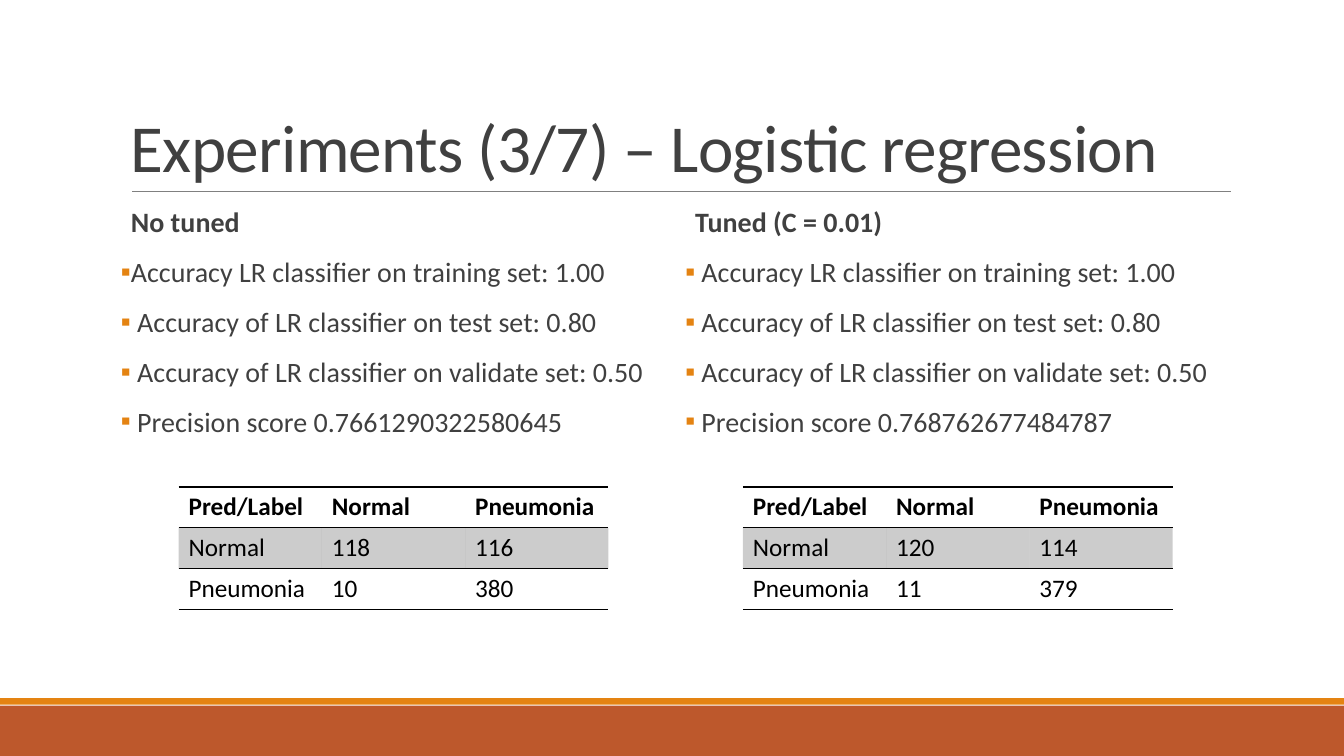
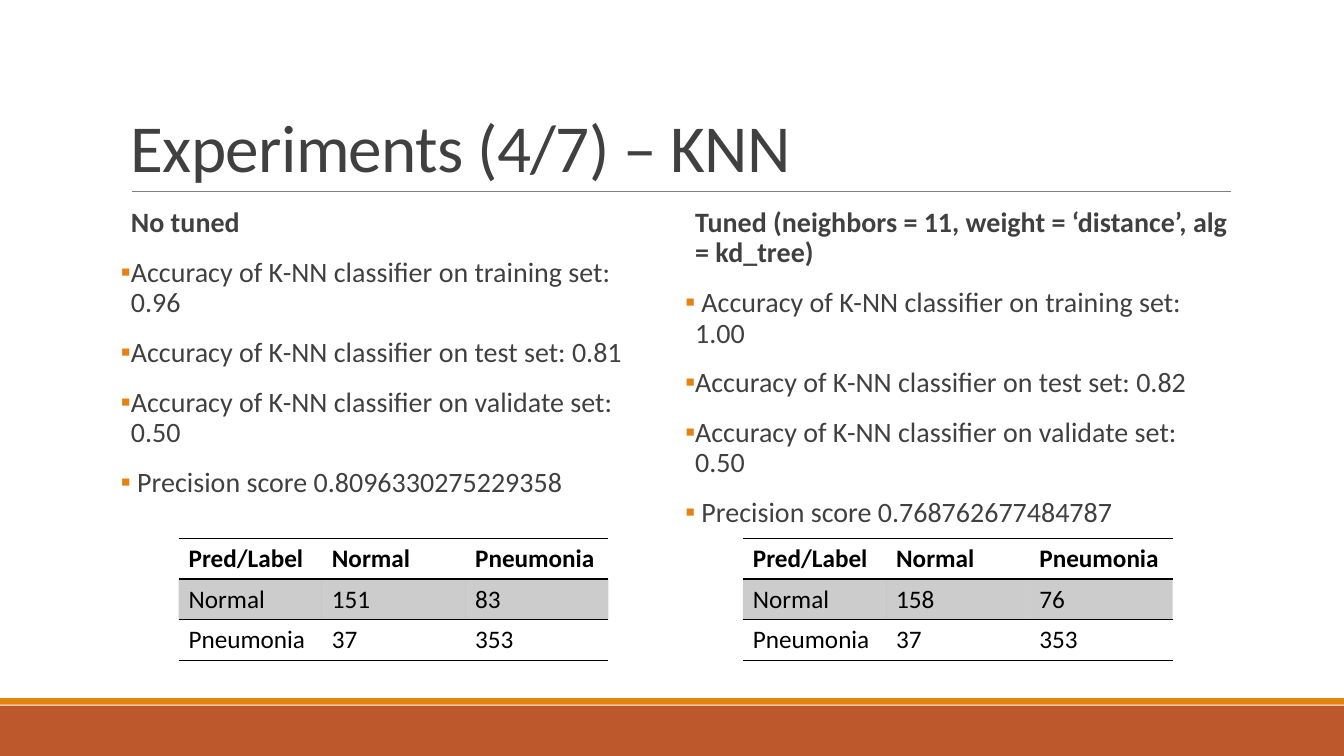
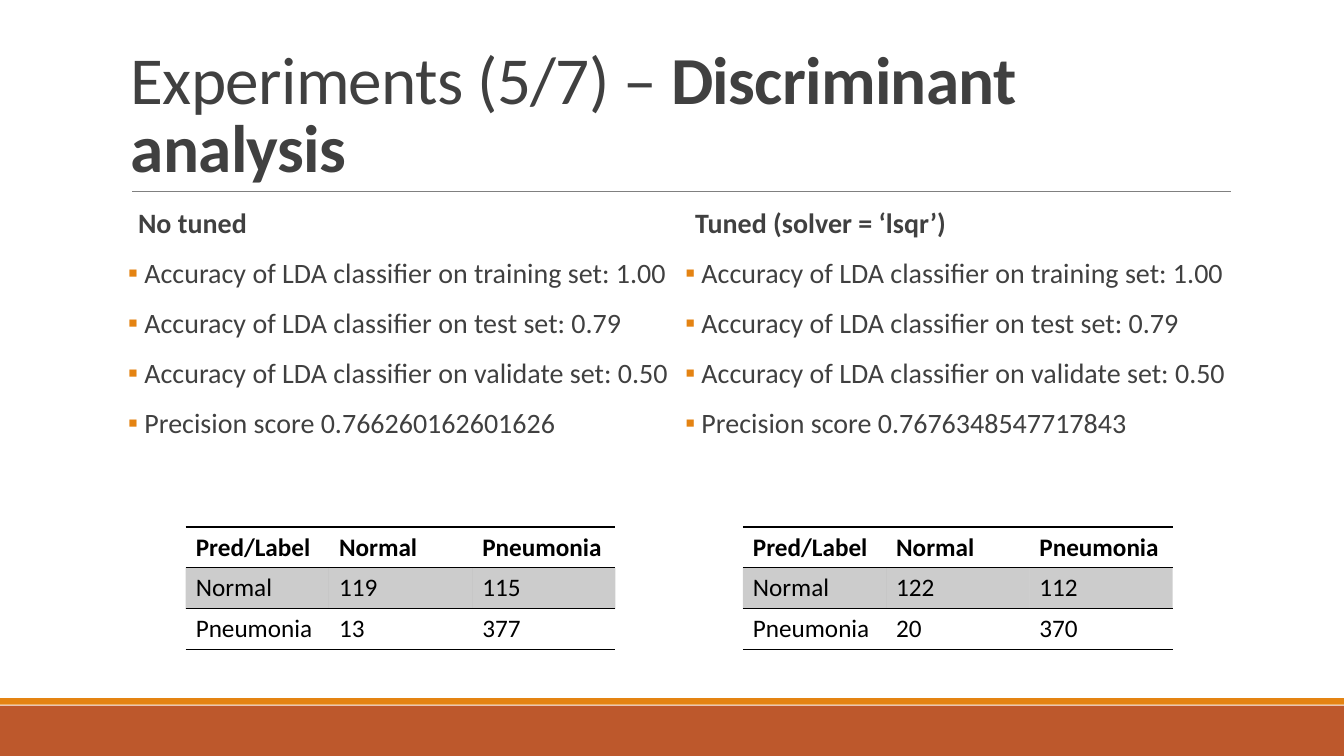
from lxml.etree import SubElement as Sub
from pptx import Presentation as Deck
from pptx.dml.color import RGBColor as RGB
from pptx.enum.shapes import MSO_CONNECTOR as Link, MSO_SHAPE as Form
from pptx.enum.text import MSO_ANCHOR as Anchor
from pptx.oxml.ns import qn
from pptx.util import Cm, Pt

RUST = RGB(0xBD, 0x58, 0x2C)
AMBER = RGB(0xE4, 0x83, 0x12)
GRAY = RGB(0x80, 0x80, 0x80)
DARK = RGB(0x40, 0x40, 0x40)
BLACK = RGB(0, 0, 0)
FONT = "Calibri"
PLAIN = "{2D5ABB26-0587-4C30-8999-92F81FD0307C}"
WIDTH, HEIGHT = 33.87, 19.05
LEFT, RIGHT = 3.05, 17.27
INDENT = 0.25
COL, ROW = 3.61, 1.03


class Page:
    def __init__(self, deck):
        self.slide = deck.slides.add_slide(deck.slide_layouts[6])
        self.shapes = self.slide.shapes
        self.band(17.78, 1.27, RUST)
        self.band(17.59, 0.17, AMBER)
        self.rule()

    def band(self, top, high, color):
        bar = self.shapes.add_shape(Form.RECTANGLE, 0, Cm(top), Cm(WIDTH), Cm(high))
        bar.shadow.inherit = False
        bar.fill.solid()
        bar.fill.fore_color.rgb = color
        bar.line.fill.background()

    def rule(self):
        line = self.shapes.add_connector(
            Link.STRAIGHT, Cm(3.33), Cm(4.83), Cm(31.01), Cm(4.83))
        line.line.color.rgb = GRAY
        line.line.width = Pt(0.5)
        Sub(line._element.spPr, qn("a:effectLst"))

    def run(self, para, text, size, color=DARK, bold=False):
        run = para.add_run()
        run.text = text
        font = run.font
        font.name, font.size, font.bold = FONT, Pt(size), bold
        font.color.rgb = color
        return run

    def box(self, left, top, wide, high):
        frame = self.shapes.add_textbox(Cm(left), Cm(top), Cm(wide), Cm(high)).text_frame
        frame.word_wrap = True
        return frame

    def title(self, plain, bold):
        frame = self.box(LEFT, 0.79, 27.94, 4.04)
        frame.vertical_anchor = Anchor.BOTTOM
        para = frame.paragraphs[0]
        para.line_spacing = 0.85
        for text, heavy in ((plain, False), (bold, True)):
            if text:
                run = self.run(para, text, 48, bold=heavy)
                run.font._element.set("spc", "-50")

    def bullet(self, para):
        props = para._p.get_or_add_pPr()
        props.set("indent", str(-Cm(INDENT)))
        Sub(Sub(props, qn("a:buClr")), qn("a:srgbClr"), val=str(AMBER))
        Sub(props, qn("a:buFont"), typeface=FONT)
        Sub(props, qn("a:buChar"), char="▪")

    def body(self, left, top, head, items):
        frame = self.box(left, top, 13.72, 11.18)
        frame.margin_left = frame.margin_right = 0
        for i, text in enumerate([head, *items]):
            para = frame.add_paragraph() if i else frame.paragraphs[0]
            para.line_spacing = 0.9
            para.space_before, para.space_after = Pt(12), Pt(2)
            para._p.get_or_add_pPr().set("marL", str(Cm(INDENT)))
            if i:
                self.bullet(para)
            self.run(para, text, 20, bold=i == 0)

    def edge(self, cell, side):
        line = cell._tc.get_or_add_tcPr().makeelement(qn("a:" + side), {"w": str(Pt(1))})
        Sub(Sub(line, qn("a:solidFill")), qn("a:srgbClr"), val=str(BLACK))
        cell._tc.tcPr.insert(0, line)

    def shade(self, cell):
        cell.fill.solid()
        cell.fill.fore_color.rgb = BLACK
        color = cell._tc.tcPr.find(".//" + qn("a:srgbClr"))
        Sub(color, qn("a:alpha"), val="20000")

    def table(self, left, top, normal, sick):
        rows = (("Pred/Label", "Normal", "Pneumonia"),
                ("Normal", *normal), ("Pneumonia", *sick))
        grid = self.shapes.add_table(
            3, 3, Cm(left), Cm(top), Cm(3 * COL), Cm(3 * ROW)).table
        grid.first_row = grid.horz_banding = False
        grid._tbl.tblPr.find(qn("a:tableStyleId")).text = PLAIN
        for r, row in enumerate(rows):
            for c, text in enumerate(row):
                cell = grid.cell(r, c)
                para = cell.text_frame.paragraphs[0]
                self.run(para, str(text), 18, BLACK, r == 0)
                if r == 1:
                    self.shade(cell)
                else:
                    cell.fill.background()
                    self.edge(cell, "lnB")
                if r < 2:
                    self.edge(cell, "lnT")

    def side(self, left, top, low, head, items, normal, sick):
        self.body(left, top, head, items)
        self.table(left + 1.45, low, normal, sick)


TESTS = (
    ("Experiments (3/7) – Logistic regression", "", 5.13, 12.27, (
        (LEFT, "No tuned", (
            "Accuracy LR classifier on training set: 1.00",
            " Accuracy of LR classifier on test set: 0.80",
            " Accuracy of LR classifier on validate set: 0.50",
            " Precision score 0.7661290322580645"), (118, 116), (10, 380)),
        (RIGHT, "Tuned (C = 0.01)", (
            " Accuracy LR classifier on training set: 1.00",
            " Accuracy of LR classifier on test set: 0.80",
            " Accuracy of LR classifier on validate set: 0.50",
            " Precision score 0.768762677484787"), (120, 114), (11, 379)))),
    ("Experiments (4/7) – KNN", "", 5.13, 13.56, (
        (LEFT, "No tuned", (
            "Accuracy of K-NN classifier on training set: 0.96",
            "Accuracy of K-NN classifier on test set: 0.81",
            "Accuracy of K-NN classifier on validate set: 0.50",
            " Precision score 0.8096330275229358"), (151, 83), (37, 353)),
        (RIGHT, "Tuned (neighbors = 11, weight = ‘distance’, alg = kd_tree)", (
            " Accuracy of K-NN classifier on training set: 1.00",
            "Accuracy of K-NN classifier on test set: 0.82",
            "Accuracy of K-NN classifier on validate set: 0.50",
            " Precision score 0.768762677484787"), (158, 76), (37, 353)))),
    ("Experiments (5/7) – ", "Discriminant analysis", 5.16, 13.28, (
        (3.23, "No tuned", (
            " Accuracy of LDA classifier on training set: 1.00",
            " Accuracy of LDA classifier on test set: 0.79",
            " Accuracy of LDA classifier on validate set: 0.50",
            " Precision score 0.766260162601626"), (119, 115), (13, 377)),
        (RIGHT, "Tuned (solver = ‘lsqr’)", (
            " Accuracy of LDA classifier on training set: 1.00",
            " Accuracy of LDA classifier on test set: 0.79",
            " Accuracy of LDA classifier on validate set: 0.50",
            " Precision score 0.7676348547717843"), (122, 112), (20, 370)))),
)


def main():
    deck = Deck()
    deck.slide_width, deck.slide_height = Cm(WIDTH), Cm(HEIGHT)
    for plain, bold, top, low, sides in TESTS:
        page = Page(deck)
        page.title(plain, bold)
        for left, *rest in sides:
            page.side(left, top, low, *rest)
    deck.save("out.pptx")


if __name__ == "__main__":
    main()
